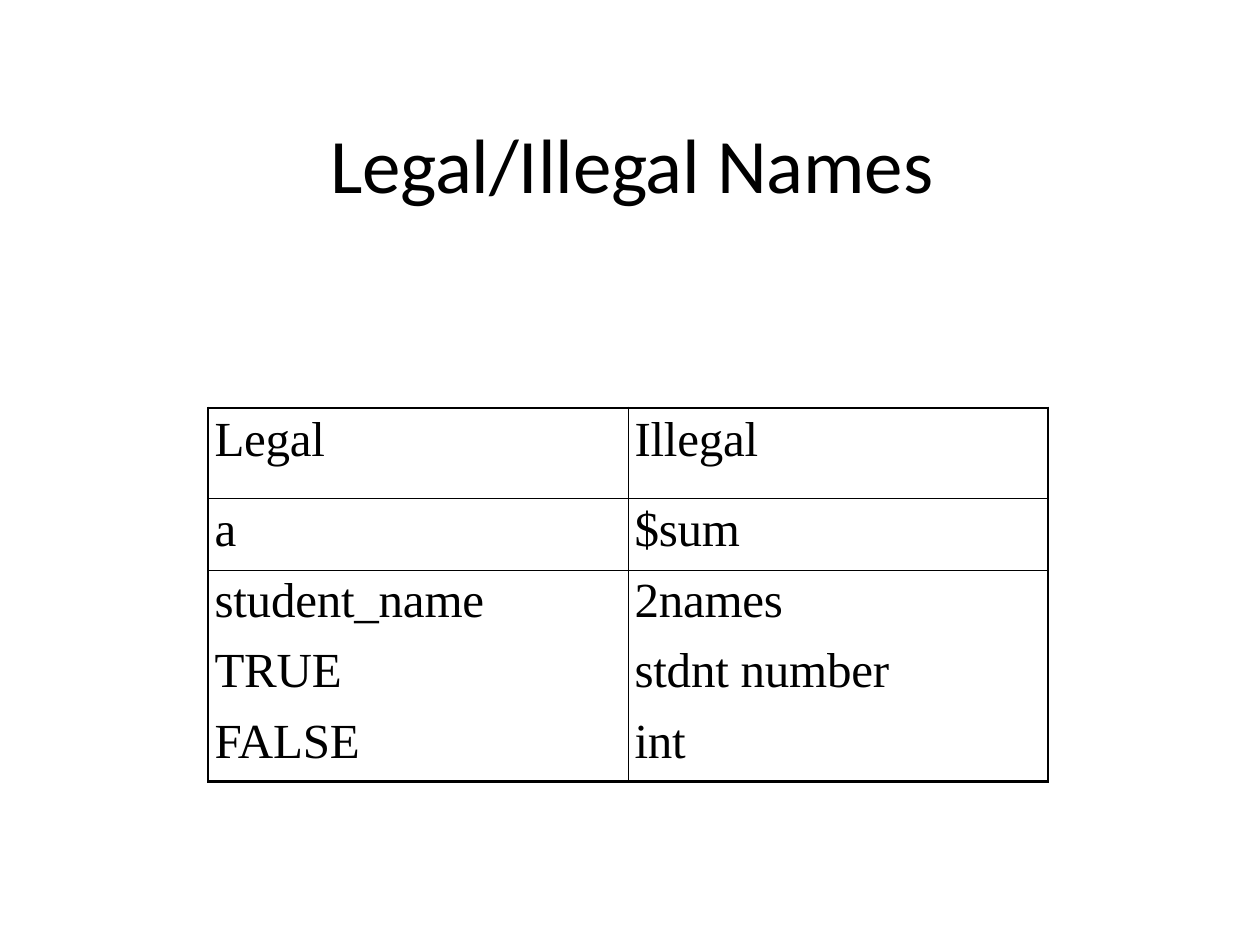
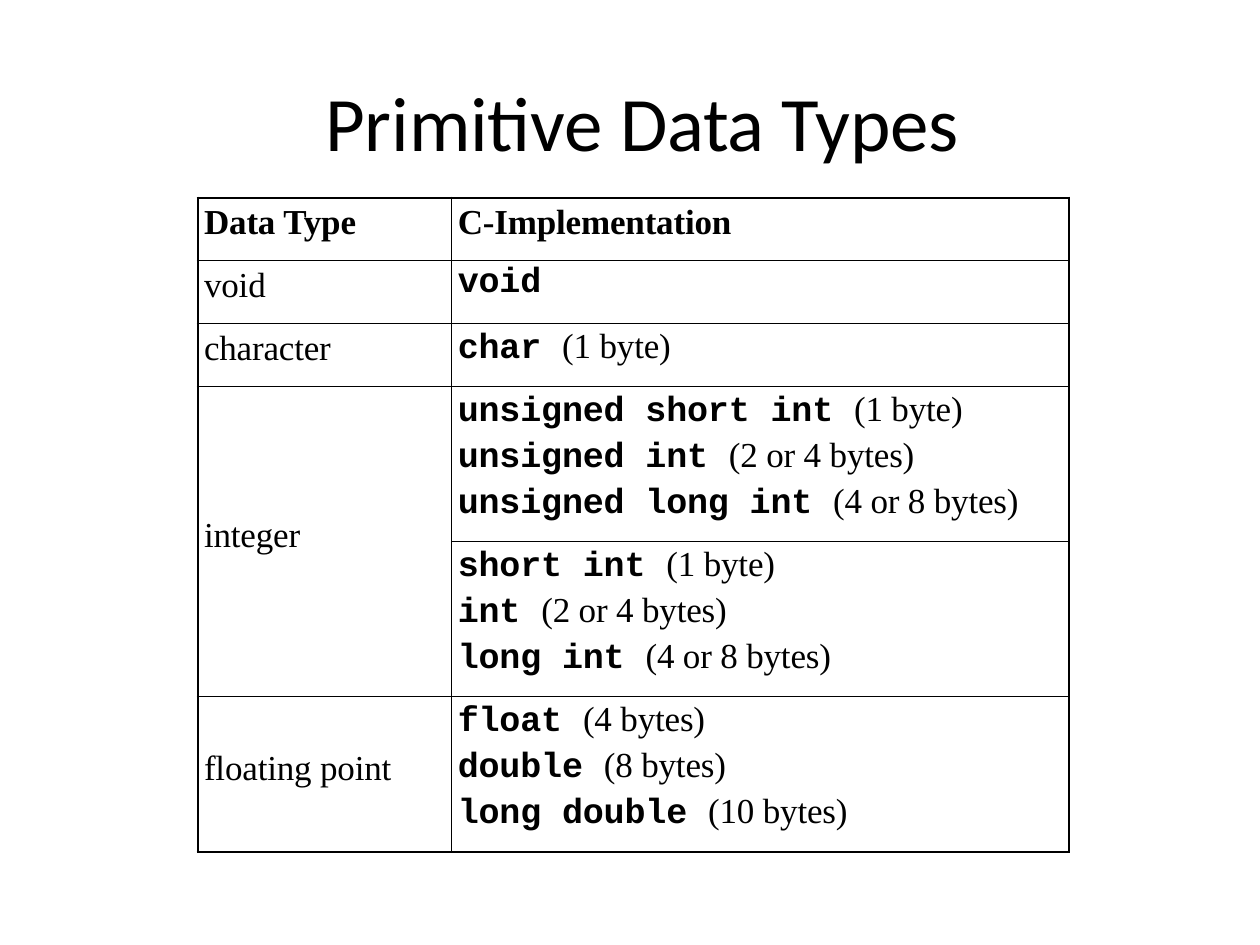
from itertools import product
from lxml import etree
from pptx import Presentation
from pptx.dml.color import RGBColor
from pptx.enum import text
from pptx.oxml.ns import qn
from pptx.util import Pt

BLACK = RGBColor(0x00, 0x00, 0x00)
SANS, SERIF, MONO = "Calibri", "Times New Roman", "Courier New"
THICK, THIN = 1.5, 0.5
PLAIN = "{2D5ABB26-0587-4C30-8999-92F81FD0307C}"

NAMES = [
    ("Legal", "Illegal"),
    ("a", "$sum"),
    ("student_name", "2names"),
    ("TRUE", "stdnt number"),
    ("FALSE", "int"),
]
TYPES = [
    ("void", [("void", "")]),
    ("character", [("char ", "(1 byte)")]),
    ("integer", [("unsigned short int ", "(1 byte)"),
                 ("unsigned int ", "(2 or 4 bytes)"),
                 ("unsigned long int ", "(4 or 8 bytes)")]),
    ("", [("short int ", "(1 byte)"),
          ("int ", "(2 or 4 bytes)"),
          ("long int ", "(4 or 8 bytes)")]),
    ("floating point", [("float ", "(4 bytes)"),
                        ("double ", "(8 bytes)"),
                        ("long double ", "(10 bytes)")]),
]


def assign(item, **values):
    """Set each given attribute on the item."""
    for name, value in values.items():
        setattr(item, name, value)


def write(para, words, size, face, bold=False):
    """Add one styled run to a paragraph."""
    run = para.add_run()
    run.text = words
    assign(run.font, size=Pt(size), name=face, bold=bold)
    run.font.color.rgb = BLACK
    run.font._element.set("spc", "-10")


def title(slide, box, words):
    """Place the centred slide title in its box."""
    frame = slide.shapes.add_textbox(*map(Pt, box)).text_frame
    assign(frame, word_wrap=True, margin_left=Pt(2), margin_right=0,
           margin_top=Pt(2), margin_bottom=0,
           vertical_anchor=text.MSO_ANCHOR.MIDDLE,
           auto_size=text.MSO_AUTO_SIZE.SHAPE_TO_FIT_TEXT)
    para = frame.paragraphs[0]
    assign(para, alignment=text.PP_ALIGN.CENTER, space_before=Pt(1.9))
    write(para, words, 44, SANS)


def border(cell, sides):
    """Draw the cell sides whose width is above zero."""
    props = cell._tc.get_or_add_tcPr()
    for side, width in zip("LRTB", sides):
        line = etree.SubElement(props, qn("a:ln" + side), w=str(Pt(width)))
        if not width:
            etree.SubElement(line, qn("a:noFill"))
            continue
        fill = etree.SubElement(line, qn("a:solidFill"))
        etree.SubElement(fill, qn("a:srgbClr"), val=str(BLACK))


def grid(slide, spot, cols, rows, rules):
    """Add a plain table with a thick frame and thin inner rules."""
    box = (*spot, sum(cols), sum(rows))
    table = slide.shapes.add_table(len(rows), len(cols), *map(Pt, box)).table
    table._tbl.tblPr.find(qn("a:tableStyleId")).text = PLAIN
    assign(table, first_row=False, horz_banding=False)
    for col, width in zip(table.columns, cols):
        col.width = Pt(width)
    for row, height in zip(table.rows, rows):
        row.height = Pt(height)
    across = [THICK, *[THIN if n in rules else 0
                       for n in range(1, len(rows))], THICK]
    down = [THICK, *[THIN] * (len(cols) - 1), THICK]
    for r, c in product(range(len(rows)), range(len(cols))):
        cell = table.cell(r, c)
        border(cell, (*down[c:c + 2], *across[r:r + 2]))
        cell.fill.background()
        assign(cell, margin_left=Pt(3.6), margin_right=0,
               margin_top=Pt(3), margin_bottom=0)
    return table


def label(cell, words, size, before, bold=False):
    """Fill a cell with one line of serif text."""
    para = cell.text_frame.paragraphs[0]
    para.space_before = Pt(before)
    write(para, words, size, SERIF, bold)


def code(cell, lines):
    """Fill a cell with type names and their sizes, one per line."""
    cell.margin_top = Pt(2 if lines[0][1] else 1.5)
    frame = cell.text_frame
    for n, (name, note) in enumerate(lines):
        para = frame.add_paragraph() if n else frame.paragraphs[0]
        para.space_before = Pt(2.4 if n else 0.8)
        write(para, name, 20, MONO, True)
        if note:
            write(para, note, 20, SERIF)


def names(slide, spot):
    """Place the table of legal and illegal names."""
    table = grid(slide, spot, [240, 240], [51.6, 41.6, 40.3, 40.3, 39.8],
                 {1, 2})
    for r, pair in enumerate(NAMES):
        for c, words in enumerate(pair):
            cell = table.cell(r, c)
            cell.margin_top = Pt(3 if r < 2 else 1.5)
            label(cell, words, 28, 1.4 if r < 2 else 0.8)


def kinds(slide, spot):
    """Place the table of primitive data types."""
    table = grid(slide, spot, [145, 353], [36] * 3 + [88.6] * 3,
                 set(range(1, 6)))
    for c, words in enumerate(("Data Type", "C-Implementation")):
        label(table.cell(0, c), words, 20, 1.3, True)
    for r, (kind, lines) in enumerate(TYPES, 1):
        cell = table.cell(r, 0)
        if kind:
            label(cell, kind, 20, 1.5)
        if len(lines) > 1:
            assign(cell, margin_top=0, margin_bottom=Pt(7),
                   vertical_anchor=text.MSO_ANCHOR.MIDDLE)
        code(table.cell(r, 1), lines)
    table.cell(3, 0).merge(table.cell(4, 0))


def main():
    """Build both slides and save the deck."""
    deck = Presentation()
    assign(deck, slide_width=Pt(720), slide_height=Pt(540))
    blank = deck.slide_layouts[6]
    first, second = (deck.slides.add_slide(blank) for _ in range(2))
    title(first, (179, 63.5, 362, 57), "Legal/Illegal Names")
    names(first, (119, 233))
    title(second, (176, 39.5, 380, 57), "Primitive Data Types")
    kinds(second, (113, 113))
    deck.save("out.pptx")


main()
